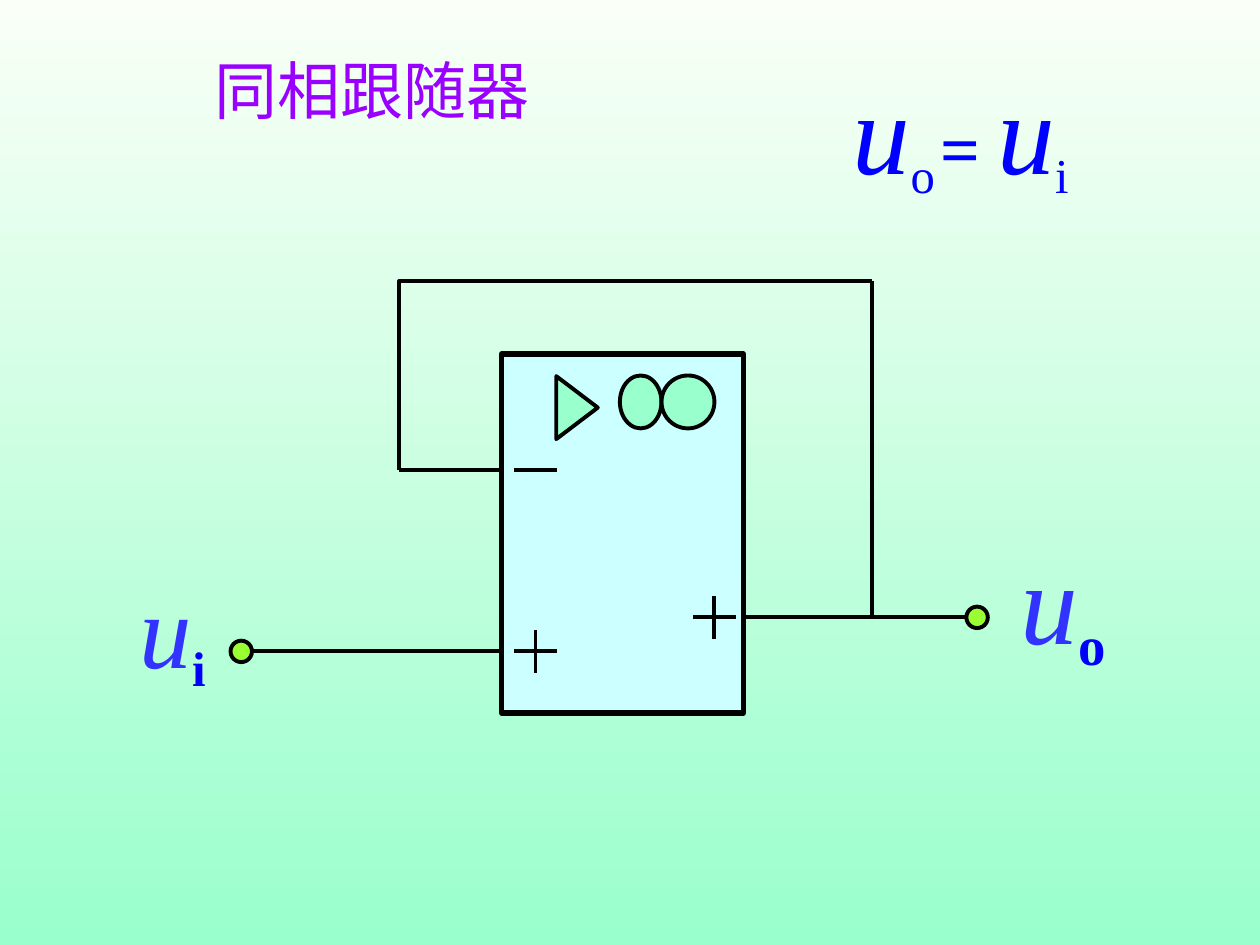
from dataclasses import dataclass

from lxml import etree
from pptx import Presentation
from pptx.dml.color import RGBColor
from pptx.enum.shapes import MSO_CONNECTOR, MSO_SHAPE
from pptx.enum.text import MSO_ANCHOR, MSO_AUTO_SIZE, PP_ALIGN
from pptx.oxml.ns import qn
from pptx.util import Inches, Pt

STRAIGHT = MSO_CONNECTOR.STRAIGHT
RECT, OVAL, MERGE = MSO_SHAPE.RECTANGLE, MSO_SHAPE.OVAL, MSO_SHAPE.FLOWCHART_MERGE
TOP, MIDDLE = MSO_ANCHOR.TOP, MSO_ANCHOR.MIDDLE
LEFT, CENTER = PP_ALIGN.LEFT, PP_ALIGN.CENTER
FIT = MSO_AUTO_SIZE.SHAPE_TO_FIT_TEXT


@dataclass(frozen=True)
class Theme:
    """Colours, fonts, type sizes and line widths."""
    sky: str = "FAFFF7"
    mint: str = "99FFCC"
    body: str = "CCFFFF"
    terminal: str = "99FF33"
    ink: str = "000000"
    title: str = "9900FF"
    signal: str = "3333FF"
    formula: str = "0000FF"
    latin: str = "Times New Roman"
    cjk: str = "Noto Sans CJK SC"
    title_size: int = 36
    input_size: int = 60
    large: int = 66
    sub: int = 48
    output_sub: int = 54
    equals: int = 40
    gap: int = 20
    wire: float = 2.25
    frame: float = 3


T = Theme()


def rgb(code):
    """Turn a hex code into a colour."""
    return RGBColor.from_string(code)


def add_background(s):
    """Fill the slide with a top-to-bottom gradient."""
    fill = s.background.fill
    fill.gradient()
    fill.gradient_angle = 270
    for stop, position, color in zip(fill.gradient_stops, (0, 1), (T.sky, T.mint)):
        stop.position = position
        stop.color.rgb = rgb(color)


def add_part(s, kind, box, color, width=T.wire):
    """Add an outlined preset shape."""
    sp = s.shapes.add_shape(kind, *map(Inches, box))
    sp.shadow.inherit = False
    sp.fill.solid()
    sp.fill.fore_color.rgb = rgb(color)
    sp.line.color.rgb = rgb(T.ink)
    sp.line.width = Pt(width)
    return sp


def add_wire(s, x1, y1, x2, y2):
    """Add a straight wire between two points."""
    wire = s.shapes.add_connector(STRAIGHT, *map(Inches, (x1, y1, x2, y2)))
    wire.line.color.rgb = rgb(T.ink)
    wire.line.width = Pt(T.wire)
    etree.SubElement(wire._element.spPr, qn("a:effectLst"))


def add_corner(s, points):
    """Add an open wire that turns a corner."""
    (x, y), *rest = [tuple(map(Inches, point)) for point in points]
    builder = s.shapes.build_freeform(x, y)
    builder.add_line_segments(rest, close=False)
    sp = builder.convert_to_shape()
    sp.shadow.inherit = False
    sp.fill.background()
    sp.line.color.rgb = rgb(T.ink)
    sp.line.width = Pt(T.wire)


def add_sign(s, x, y, plus=True):
    """Draw a plus or minus sign centred on a point."""
    arm = 0.17
    add_wire(s, x - arm, y, x + arm, y)
    if plus:
        add_wire(s, x, y - arm, x, y + arm)


def add_amplifier(s, box):
    """Draw the amplifier block with its symbols and signs."""
    x, y, w, h = box
    add_part(s, RECT, box, T.body, T.frame)
    add_part(s, MERGE, (x + 0.35, y + 0.26, 0.5, 0.33), T.mint).rotation = 270
    add_part(s, OVAL, (x + 0.94, y + 0.17, 0.33, 0.42), T.mint)
    add_part(s, OVAL, (x + 1.27, y + 0.17, 0.42, 0.42), T.mint)
    add_sign(s, x + 0.27, y + 0.92, plus=False)
    add_sign(s, x + 0.27, y + 2.36)
    add_sign(s, x + w - 0.23, y + 2.09)


def add_circuit(s, box):
    """Draw the follower: input, amplifier, output and feedback loop."""
    x, y, w, h = box
    dot = 0.17
    right = x + w
    loop_left, loop_mid, loop_right = x + 1.34, x + 2.5, x + 5.09
    minus_y, out_y, in_y = y + 1.5, y + 2.67, y + 2.94
    block = (x + 2.15, y + 0.58, 1.92, 2.85)
    add_wire(s, loop_left, minus_y, block[0], minus_y)
    add_wire(s, x + dot, in_y, block[0], in_y)
    add_amplifier(s, block)
    add_wire(s, block[0] + block[2], out_y, right - dot, out_y)
    add_corner(s, [(loop_mid, y), (loop_left, y), (loop_left, minus_y)])
    add_wire(s, loop_mid, y, loop_right, y)
    add_wire(s, loop_right, y, loop_right, out_y)
    for left, mid in ((x, in_y), (right - dot, out_y)):
        add_part(s, OVAL, (left, mid - dot / 2, dot, dot), T.terminal)


def add_run(p, text, size, color, font=T.latin, italic=False, bold=False, sub=False):
    """Add one run, lowered when it is a subscript."""
    r = p.add_run()
    r.text = text
    r.font.size = Pt(size)
    r.font.name = font
    r.font.italic = italic
    r.font.bold = bold
    r.font.color.rgb = rgb(color)
    rPr = r._r.get_or_add_rPr()
    etree.SubElement(rPr, qn("a:ea")).set("typeface", font)
    if sub:
        rPr.set("baseline", "-22000")


def add_text(s, box, wrap=True, align=LEFT, anchor=TOP):
    """Add an empty text box and return its paragraph."""
    tf = s.shapes.add_textbox(*map(Inches, box)).text_frame
    tf.auto_size = FIT
    tf.word_wrap = wrap
    tf.vertical_anchor = anchor
    p = tf.paragraphs[0]
    p.alignment = align
    return p


def add_title(s, box):
    """Write the slide title."""
    p = add_text(s, box, wrap=False, align=CENTER, anchor=MIDDLE)
    add_run(p, "同相跟随器", T.title_size, T.title, T.cjk)


def add_signal(s, box, index, size, sub_size):
    """Label a terminal with its voltage."""
    p = add_text(s, box)
    add_run(p, "u", size, T.signal, italic=True)
    add_run(p, index, sub_size, T.formula, bold=True, sub=True)


def add_formula(s, box):
    """Write the output equation."""
    p = add_text(s, box)
    add_run(p, "u", T.large, T.formula, italic=True)
    add_run(p, "o", T.sub, T.formula, sub=True)
    add_run(p, " ", T.gap, T.formula, sub=True)
    add_run(p, "= ", T.equals, T.formula, bold=True)
    add_run(p, "u", T.large, T.formula, italic=True)
    add_run(p, "i", T.sub, T.formula, sub=True)


def main():
    """Build the slide and save it."""
    prs = Presentation()
    prs.slide_width, prs.slide_height = Inches(10), Inches(7.5)
    s = prs.slides.add_slide(prs.slide_layouts[6])
    add_background(s)
    add_circuit(s, (1.83, 2.23, 6.01, 3.43))
    add_signal(s, (1.01, 4.42, 0.8, 1.16), "i", T.input_size, T.sub)
    add_signal(s, (8, 4.15, 1.17, 1.27), "o", T.large, T.output_sub)
    add_title(s, (1.6, 0.36, 2.7, 0.7))
    add_formula(s, (6.67, 0.42, 2.42, 1.24))
    prs.save("out.pptx")


if __name__ == "__main__":
    main()
